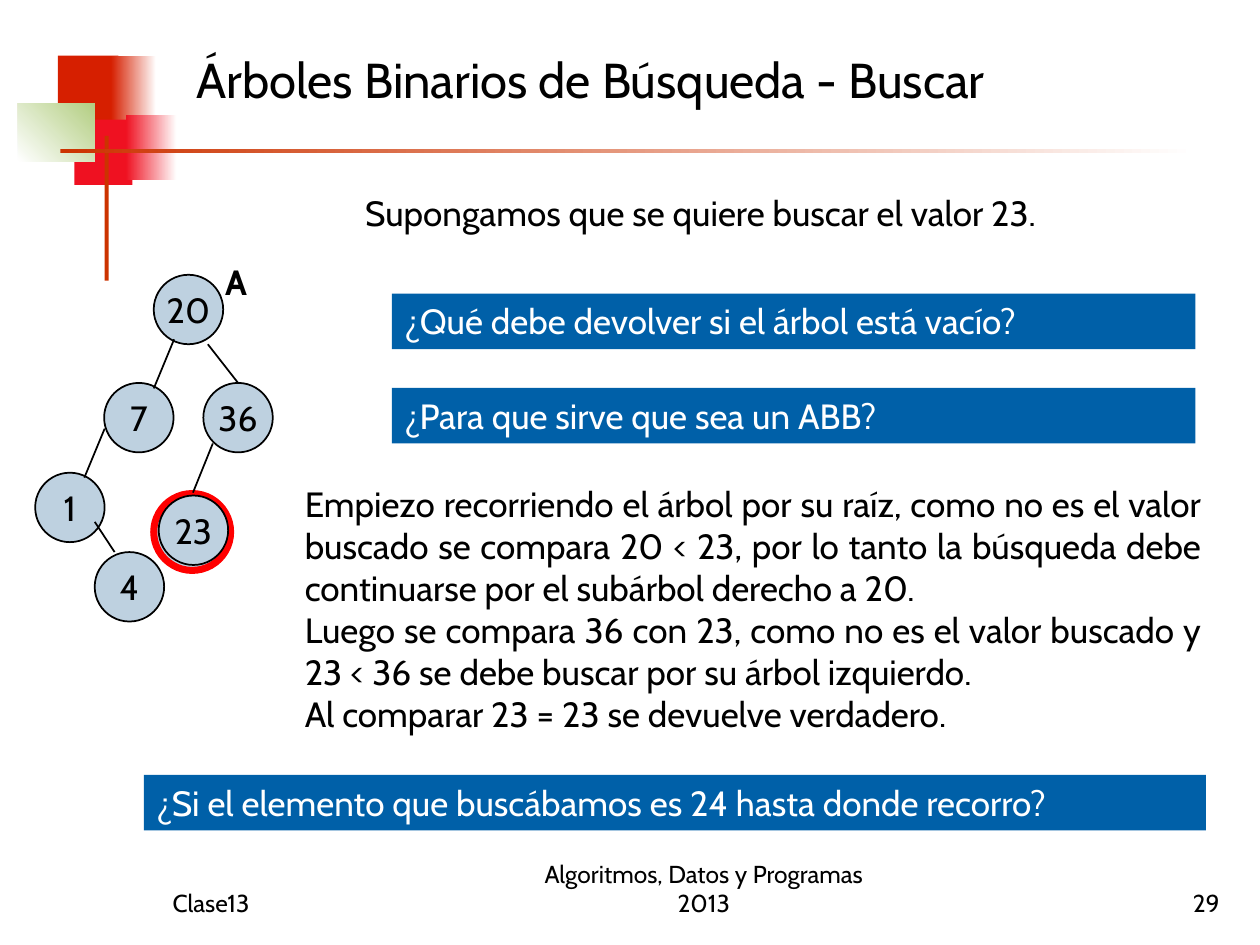
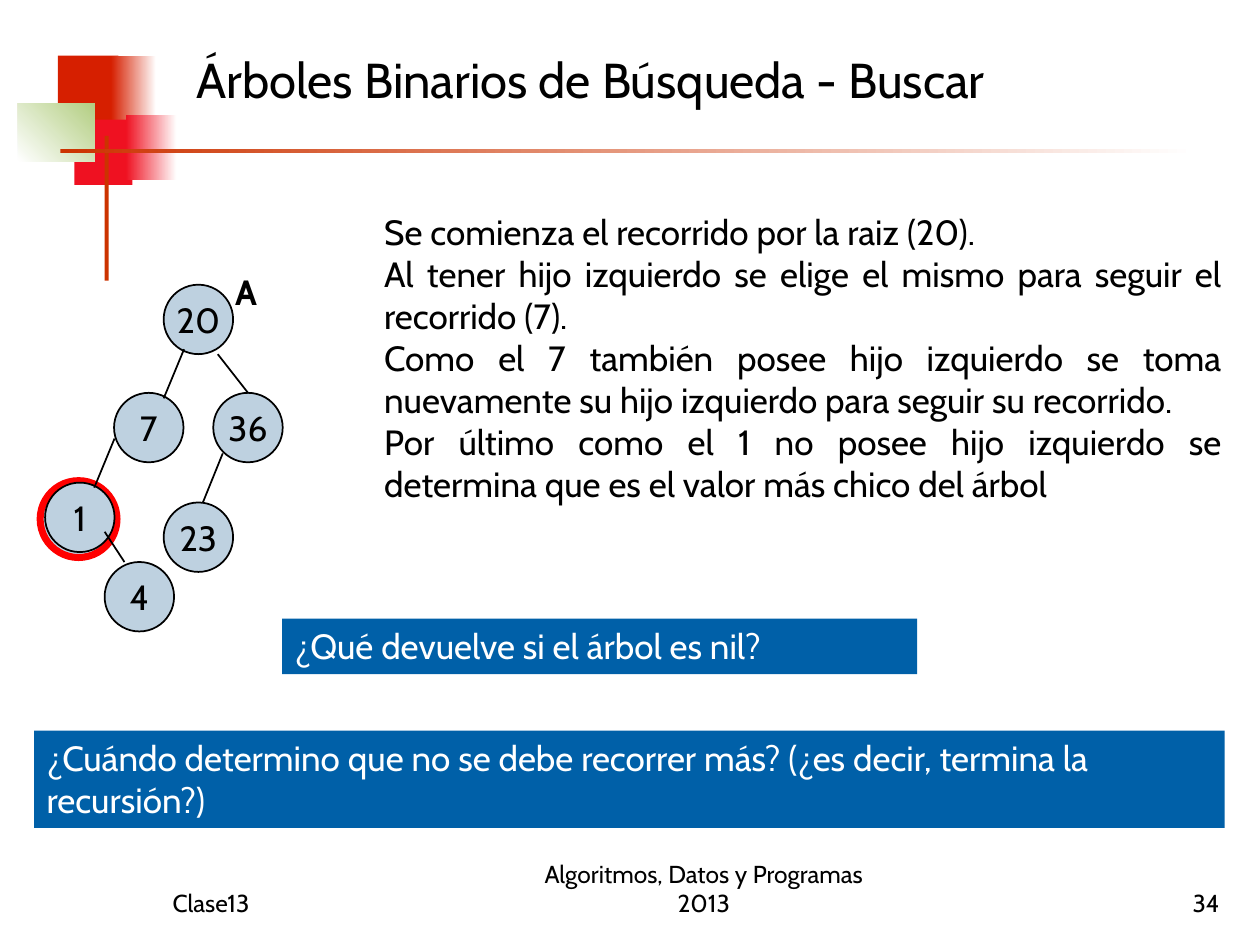
from dataclasses import dataclass
from typing import NamedTuple, Optional

from lxml import etree
from pptx import Presentation
from pptx import util as u
from pptx.dml.color import RGBColor
from pptx.enum import shapes, text
from pptx.oxml import ns


@dataclass(frozen=True)
class Theme:
    font: str = "Cabin"
    black: str = "000000"
    white: str = "FFFFFF"
    band: str = "0060A8"
    node: str = "BED1E0"
    ring: str = "FF0000"
    brick: str = "D61F00"
    red: str = "EF1121"
    green: str = "B3CE82"
    rule: str = "CC3300"
    head: int = 28
    body: int = 20
    foot: int = 14


class Box(NamedTuple):
    x: float
    y: float
    w: float
    h: float


class Spot(NamedTuple):
    x: float
    y: float


class Block(NamedTuple):
    box: Box
    start: str
    stop: Optional[str] = None
    angle: int = 0


class Note(NamedTuple):
    box: Box
    words: str
    fill: Optional[str] = None


class Edge(NamedTuple):
    start: Spot
    end: Spot


@dataclass(frozen=True)
class Page:
    number: int
    root: Spot
    leaf: Spot
    found: str
    body: Box
    lines: list[str]
    notes: list[Note]


T = Theme()
TITLE = "Árboles Binarios de Búsqueda - Buscar"
TITLE_BOX = Box(3.71, 0.33, 20.6, 2.54)
FOOT_Y, FOOT_H = 17.35, 1.27
NODE, RING = 1.4, 1.55
LEFT, MID, RIGHT, FULL = (text.PP_ALIGN.LEFT, text.PP_ALIGN.CENTER,
                          text.PP_ALIGN.RIGHT, text.PP_ALIGN.JUSTIFY)
TOP, CORE, BASE = (text.MSO_ANCHOR.TOP, text.MSO_ANCHOR.MIDDLE,
                   text.MSO_ANCHOR.BOTTOM)
RECT, OVAL = shapes.MSO_SHAPE.RECTANGLE, shapes.MSO_SHAPE.OVAL

BLOCKS = [
    Block(Box(1.17, 1.12, 1.22, 1.32), T.brick),
    Block(Box(2.24, 1.12, 0.91, 1.32), T.brick, T.white),
    Block(Box(1.5, 2.41, 1.17, 1.32), T.red),
    Block(Box(2.54, 2.31, 1.02, 1.32), T.red, T.white),
    Block(Box(0.36, 2.08, 1.55, 1.17), T.white, T.green, 45),
    Block(Box(2.11, 2.74, 0.08, 2.92), T.rule),
    Block(Box(1.22, 3, 22.86, 0.08), T.rule, T.white),
]

NODES = {
    "20": Spot(0, 0),
    "7": Spot(-1, 2.18),
    "36": Spot(1, 2.18),
    "1": Spot(-2.39, 3.99),
    "4": Spot(-1.19, 5.59),
}
EDGES = [
    Edge(Spot(0.41, 1.3), Spot(0, 2.29)),
    Edge(Spot(1.09, 1.4), Spot(1.7, 2.18)),
    Edge(Spot(-0.99, 3.1), Spot(-1.4, 4.09)),
    Edge(Spot(-1.19, 4.98), Spot(-0.79, 5.59)),
    Edge(Spot(1.19, 3.4), Spot(0.79, 4.39)),
]

PAGES = [
    Page(
        29, Spot(3.1, 5.54), Spot(0.1, 4.45), "23",
        Box(5.89, 9.6, 18.59, 7.04),
        ["Empiezo recorriendo el árbol por su raíz, como no es el valor "
         "buscado se compara 20 < 23, por lo tanto la búsqueda debe "
         "continuarse por el subárbol derecho a 20.",
         "Luego se compara 36 con 23, como no es el valor buscado y "
         "23 < 36 se debe buscar por su árbol izquierdo.",
         "Al comparar 23 = 23 se devuelve verdadero."],
        [Note(Box(7.11, 3.73, 16.2, 1.12),
              "Supongamos que se quiere buscar el valor 23."),
         Note(Box(7.9, 5.92, 16.2, 1.12),
              "¿Qué debe devolver si el árbol está vacío?", T.band),
         Note(Box(7.9, 7.82, 16.2, 1.12),
              "¿Para que sirve que sea un ABB?", T.band),
         Note(Box(2.9, 15.62, 21.41, 1.12),
              "¿Si el elemento que buscábamos es 24 hasta donde recorro?",
              T.band)],
    ),
    Page(
        34, Spot(3.3, 5.74), Spot(0, 4.39), "1",
        Box(7.49, 4.11, 17.4, 7.04),
        ["Se comienza el recorrido por la raiz (20).",
         "Al tener hijo izquierdo se elige el mismo para seguir el "
         "recorrido (7).",
         "Como el 7 también posee hijo izquierdo se toma nuevamente su "
         "hijo izquierdo para seguir su recorrido.",
         "Por último como el 1 no posee hijo izquierdo se determina que "
         "es el valor más chico del árbol"],
        [Note(Box(5.69, 12.47, 12.8, 1.12),
              "¿Qué devuelve si el árbol es nil?", T.band),
         Note(Box(0.69, 14.73, 24, 1.96),
              "¿Cuándo determino que no se debe recorrer más? "
              "(¿es decir, termina la recursión?)", T.band)],
    ),
]


def tint(name: str) -> RGBColor:
    return RGBColor.from_string(name)


def place(shape, box: Box) -> None:
    shape.left, shape.top, shape.width, shape.height = map(u.Cm, box)


def write(shape, lines: list[str], size: int = T.body, ink: str = T.black,
          align=LEFT, anchor=TOP, bold: bool = False,
          wrap: bool = True) -> None:
    frame = shape.text_frame
    frame.text = "\n".join(lines)
    frame.word_wrap = wrap
    frame.auto_size = text.MSO_AUTO_SIZE.NONE
    frame.vertical_anchor = anchor
    for para in frame.paragraphs:
        props = para._p.get_or_add_pPr()
        props.set("marL", "0")
        props.set("indent", "0")
        para.alignment = align
        para.space_before = u.Pt(0)
        etree.SubElement(props, ns.qn("a:buNone"))
        font = para.font
        font.name, font.size, font.bold = T.font, u.Pt(size), bold
        font.color.rgb = tint(ink)


def add_text(slide, box: Box, words: str, **style) -> None:
    write(slide.shapes.add_textbox(*map(u.Cm, box)), [words], **style)


def add_shape(slide, kind, box: Box, fill: str, line: Optional[str] = None,
              width: float = 1):
    shape = slide.shapes.add_shape(kind, *map(u.Cm, box))
    shape.shadow.inherit = False
    shape.fill.solid()
    shape.fill.fore_color.rgb = tint(fill)
    if line:
        shape.line.color.rgb = tint(line)
        shape.line.width = u.Pt(width)
    else:
        shape.line.fill.background()
    return shape


def add_block(slide, block: Block) -> None:
    shape = add_shape(slide, RECT, block.box, block.start)
    if block.stop:
        shape.fill.gradient()
        shape.fill.gradient_angle = block.angle
        for stop, name in zip(shape.fill.gradient_stops,
                              (block.start, block.stop)):
            stop.color.rgb = tint(name)


def add_edge(slide, root: Spot, edge: Edge) -> None:
    ends = [u.Cm(base + step) for spot in edge
            for base, step in zip(root, spot)]
    line = slide.shapes.add_connector(shapes.MSO_CONNECTOR.STRAIGHT, *ends)
    line.line.color.rgb = tint(T.black)
    line.line.width = u.Pt(1)
    etree.SubElement(line._element.spPr, ns.qn("a:effectLst"))


def add_tree(slide, page: Page) -> None:
    root = page.root
    nodes = {**NODES, "23": page.leaf}
    goal = nodes[page.found]
    add_shape(slide, OVAL,
              Box(root.x + goal.x - 0.1, root.y + goal.y - 0.04, RING, RING),
              T.node, T.ring, 4)
    for key, spot in nodes.items():
        box = Box(root.x + spot.x, root.y + spot.y, NODE, NODE)
        node = add_shape(slide, OVAL, box, T.node, T.black)
        write(node, [key], align=MID, anchor=CORE, wrap=False)
    for edge in EDGES:
        add_edge(slide, root, edge)
    add_text(slide, Box(root.x + 1.19, root.y - 0.41, 1, 1.12), "A",
             bold=True)


def add_note(slide, note: Note) -> None:
    if note.fill:
        band = add_shape(slide, RECT, note.box, note.fill)
        write(band, [note.words], ink=T.white)
    else:
        add_text(slide, note.box, note.words)


def add_foot(slide, number: int) -> None:
    for x, wide, words, align in (
            (3.23, 5.28, "Clase13", LEFT),
            (10.19, 8, "Algoritmos, Datos y Programas 2013", MID),
            (19.56, 5.28, str(number), RIGHT)):
        add_text(slide, Box(x, FOOT_Y, wide, FOOT_H), words, size=T.foot,
                 align=align, anchor=BASE)


def add_page(deck, page: Page) -> None:
    slide = deck.slides.add_slide(deck.slide_layouts[1])
    for block in BLOCKS:
        add_block(slide, block)
    title, body = slide.shapes.title, slide.placeholders[1]
    place(title, TITLE_BOX)
    write(title, [TITLE], size=T.head, anchor=CORE)
    place(body, page.body)
    write(body, page.lines, align=FULL)
    add_tree(slide, page)
    for note in page.notes:
        add_note(slide, note)
    add_foot(slide, page.number)


def main() -> None:
    deck = Presentation()
    deck.slide_width, deck.slide_height = u.Cm(25.4), u.Cm(19.05)
    for page in PAGES:
        add_page(deck, page)
    deck.save("out.pptx")


if __name__ == "__main__":
    main()
